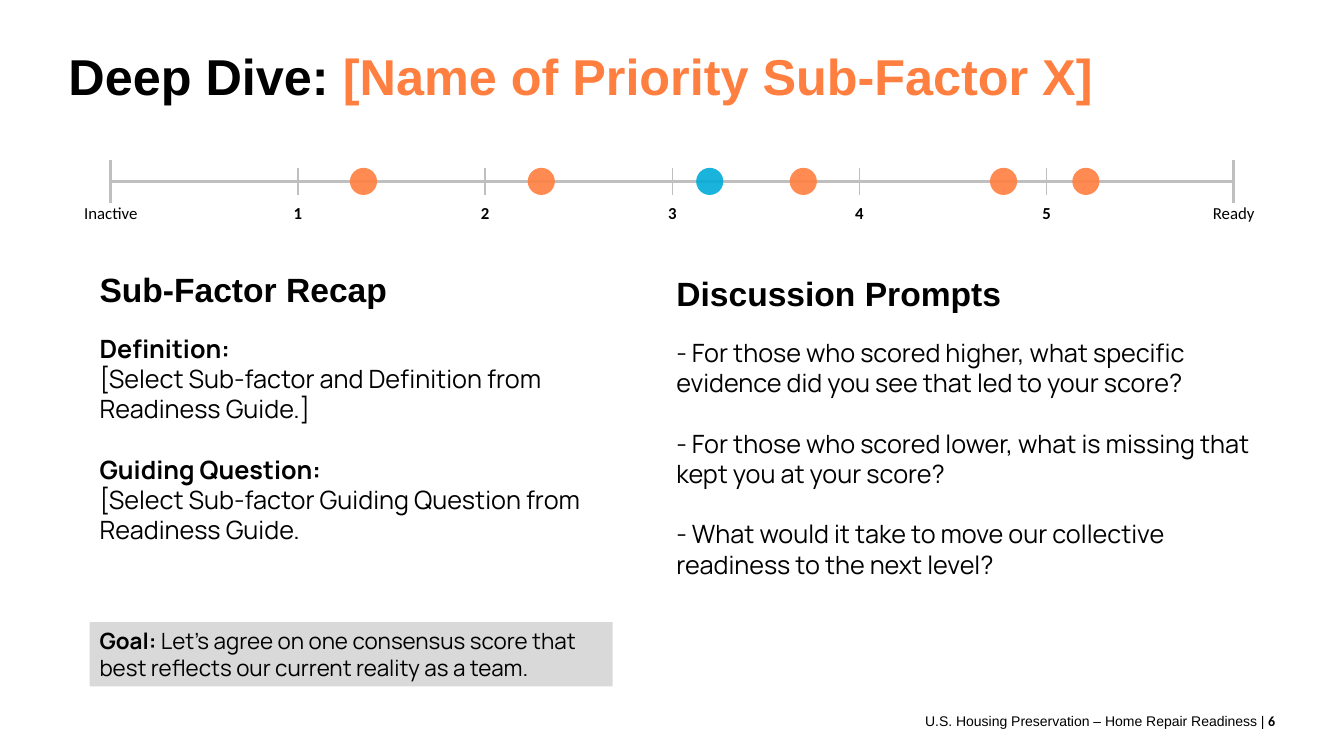
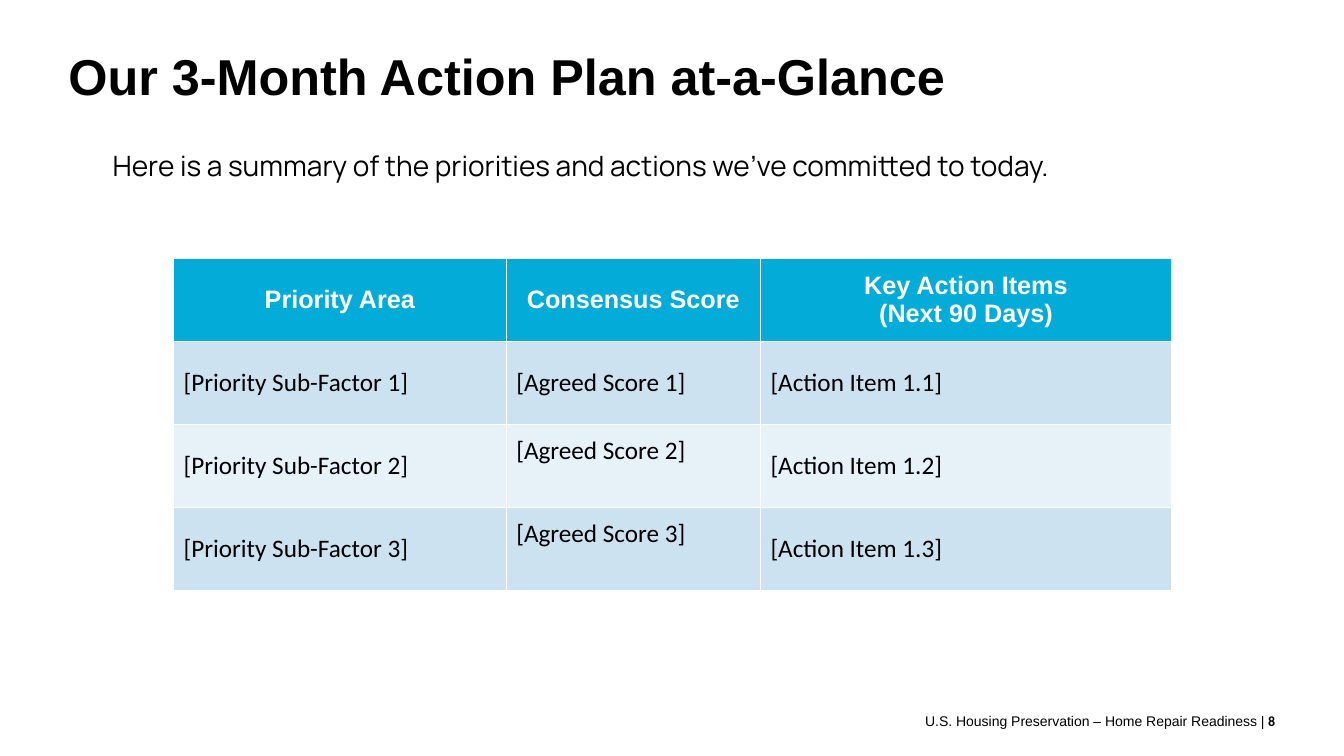
from lxml.etree import SubElement
from pptx import Presentation
from pptx.dml.color import RGBColor
from pptx.enum.shapes import MSO_CONNECTOR, MSO_SHAPE
from pptx.enum.text import MSO_ANCHOR as Anchor, PP_ALIGN as Align
from pptx.oxml.ns import qn
from pptx.util import Pt

BLACK, WHITE, GREY, PANEL = "000000", "FFFFFF", "BFBFBF", "D9D9D9"
ORANGE, BLUE, PALE, PALER = "FF7F40", "02ABD8", "CCE2F0", "E7F1F8"

TITLE = {"name": "Arial", "size": 36, "bold": True, "color": BLACK}
HEADING = {**TITLE, "size": 24}
COLUMN_HEAD = {**TITLE, "size": 18, "color": WHITE}
FOOTER = {**TITLE, "size": 10, "bold": False}
PAGE_NUMBER = {**FOOTER, "name": "Calibri", "bold": True}
BODY = {"name": "Manrope", "size": 18, "bold": False, "color": BLACK}
STRONG = {**BODY, "bold": True}
INTRO = {**BODY, "size": 20}
GOAL = {**BODY, "size": 16}
GOAL_LABEL = {**GOAL, "bold": True}
CELL = {**BODY, "name": "Calibri"}
END_LABEL = {**CELL, "size": 12}
STEP_LABEL = {**END_LABEL, "bold": True}

HEADING_GAP, PARAGRAPH_GAP = 17, 21.6
FOOTER_TEXT = "U.S. Housing Preservation – Home Repair Readiness | "

DEEP_DIVE_TITLE = [("Deep Dive: ", TITLE),
                   ("[Name of Priority Sub-Factor X]", {**TITLE, "color": ORANGE})]
SCALE_LABELS = ["Inactive", "1", "2", "3", "4", "5", "Ready"]
TEAM_SCORES = [1.35, 2.3, 3.7, 4.77, 5.21]
AVERAGE_SCORE = 3.2
RECAP = [
    (0, [("Sub-Factor Recap", HEADING)]),
    (HEADING_GAP, [("Definition:\n", STRONG),
                   ("[Select Sub-factor and Definition from Readiness Guide.]", BODY)]),
    (PARAGRAPH_GAP, [("Guiding Question:\n", STRONG),
                     ("[Select Sub-factor Guiding Question from Readiness Guide.", BODY)]),
]
PROMPTS = [
    (0, [("Discussion Prompts", HEADING)]),
    (HEADING_GAP, [("- For those who scored higher, what specific evidence did you see "
                    "that led to your score?", BODY)]),
    (PARAGRAPH_GAP, [("- For those who scored lower, what is missing that kept you at "
                      "your score?", BODY)]),
    (PARAGRAPH_GAP, [("- What would it take to move our collective readiness to the "
                      "next level?", BODY)]),
]
GOAL_TEXT = [("Goal: ", GOAL_LABEL),
             ("Let’s agree on one consensus score that best reflects our current "
              "reality as a team.", GOAL)]

PLAN_TITLE = [("Our 3-Month Action Plan at-a-Glance", TITLE)]
PLAN_INTRO = [("Here is a summary of the priorities and actions we've committed to today.",
               INTRO)]
PLAN_ROWS = [["Priority Area", "Consensus Score", "Key Action Items\n(Next 90 Days)"]] + [
    [f"[Priority Sub-Factor {n}]", f"[Agreed Score {n}]", f"[Action Item 1.{n}]"]
    for n in (1, 2, 3)]
PLAN_WIDTHS = [237.6, 181.6, 293.6]
PLAN_ROW_HEIGHT = 59.4
PLAN_FILLS = [BLUE, PALE, PALER, PALE]
RAISED_CELLS = {(2, 1), (3, 1)}

SCALE_LEFT, SCALE_RIGHT, SCALE_Y = 79.2, 881.3, 129.6
SCALE_STEP = (SCALE_RIGHT - SCALE_LEFT) / (len(SCALE_LABELS) - 1)
DOT = 19.4


def rgb(color):
    return RGBColor.from_string(color)


def points(*lengths):
    return [Pt(length) for length in lengths]


def write_runs(paragraph, runs):
    for text, style in runs:
        for index, line in enumerate(text.split("\n")):
            if index:
                paragraph.add_line_break()
            if line:
                run = paragraph.add_run()
                run.text = line
                values = {**style, "size": Pt(style["size"])}
                run.font.color.rgb = rgb(values.pop("color"))
                for key, value in values.items():
                    setattr(run.font, key, value)


def write_frame(frame, paragraphs, align=Align.LEFT, anchor=Anchor.TOP, spacing=None):
    frame.word_wrap = True
    frame.vertical_anchor = anchor
    for index, (gap, runs) in enumerate(paragraphs):
        paragraph = frame.add_paragraph() if index else frame.paragraphs[0]
        if gap:
            paragraph.space_before = Pt(gap)
        paragraph.alignment = align
        paragraph.line_spacing = spacing
        write_runs(paragraph, runs)


def add_text(slide, box, paragraphs, **layout):
    write_frame(slide.shapes.add_textbox(*points(*box)).text_frame, paragraphs, **layout)


def add_filled(slide, preset, box, color, opacity=100):
    shape = slide.shapes.add_shape(preset, *points(*box))
    shape.shadow.inherit = False
    shape.fill.solid()
    shape.fill.fore_color.rgb = rgb(color)
    shape.line.fill.background()
    if opacity < 100:
        swatch = shape.fill._xPr.find(qn("a:solidFill"))[0]
        SubElement(swatch, qn("a:alpha"), val=str(opacity * 1000))
    return shape


def add_line(slide, ends, width):
    line = slide.shapes.add_connector(MSO_CONNECTOR.STRAIGHT, *points(*ends))
    line.line.color.rgb = rgb(GREY)
    line.line.width = Pt(width)
    SubElement(line._element.spPr, qn("a:effectLst"))


def start_slide(deck, title, number):
    slide = deck.slides.add_slide(deck.slide_layouts[6])
    add_text(slide, (41.8, 20.9, 828, 72), [(0, title)], anchor=Anchor.MIDDLE, spacing=0.9)
    add_text(slide, (643, 500.4, 275, 28.8),
             [(0, [(FOOTER_TEXT, FOOTER), (str(number), PAGE_NUMBER)])],
             align=Align.RIGHT, anchor=Anchor.MIDDLE)
    return slide


def add_score_scale(slide):
    add_line(slide, (SCALE_LEFT, SCALE_Y, SCALE_RIGHT, SCALE_Y), 2)
    for step, label in enumerate(SCALE_LABELS):
        x = SCALE_LEFT + step * SCALE_STEP
        half, width, style = (9.7, 1, STEP_LABEL) if label.isdigit() else (15.5, 2, END_LABEL)
        add_line(slide, (x, SCALE_Y - half, x, SCALE_Y + half), width)
        add_text(slide, (x - 36, 141.1, 72, 21.6), [(0, [(label, style)])], align=Align.CENTER)
    dots = [(score, ORANGE) for score in TEAM_SCORES] + [(AVERAGE_SCORE, BLUE)]
    for score, color in dots:
        x = SCALE_LEFT + score * SCALE_STEP
        add_filled(slide, MSO_SHAPE.OVAL, (x - DOT / 2, SCALE_Y - DOT / 2, DOT, DOT), color, 90)


def add_deep_dive(deck):
    slide = start_slide(deck, DEEP_DIVE_TITLE, 6)
    add_score_scale(slide)
    add_text(slide, (64, 188.6, 359.3, 206), RECAP)
    add_text(slide, (476, 191.5, 442.8, 232.6), PROMPTS)
    goal = add_filled(slide, MSO_SHAPE.RECTANGLE, (64, 444.3, 373.7, 46), PANEL)
    write_frame(goal.text_frame, [(0, GOAL_TEXT)])


def add_action_plan(deck):
    slide = start_slide(deck, PLAN_TITLE, 8)
    add_text(slide, (73.4, 105.1, 780.5, 39.6), [(0, PLAN_INTRO)], spacing=0.9)
    frame = slide.shapes.add_table(
        len(PLAN_ROWS), len(PLAN_WIDTHS),
        *points(124, 184.5, sum(PLAN_WIDTHS), PLAN_ROW_HEIGHT * len(PLAN_ROWS)))
    plan = frame.table
    for column, width in zip(plan.columns, PLAN_WIDTHS):
        column.width = Pt(width)
    for r, (texts, color) in enumerate(zip(PLAN_ROWS, PLAN_FILLS)):
        plan.rows[r].height = Pt(PLAN_ROW_HEIGHT)
        style, align = (CELL, Align.LEFT) if r else (COLUMN_HEAD, Align.CENTER)
        for c, text in enumerate(texts):
            cell = plan.cell(r, c)
            cell.fill.solid()
            cell.fill.fore_color.rgb = rgb(color)
            cell.vertical_anchor = Anchor.MIDDLE
            if (r, c) in RAISED_CELLS:
                cell.vertical_anchor = Anchor.TOP
                cell.margin_top = Pt(7.5)
            paragraph = cell.text_frame.paragraphs[0]
            paragraph.alignment = align
            write_runs(paragraph, [(text, style)])


def main():
    deck = Presentation()
    deck.slide_width, deck.slide_height = points(960, 540)
    add_deep_dive(deck)
    add_action_plan(deck)
    deck.save("out.pptx")


if __name__ == "__main__":
    main()
